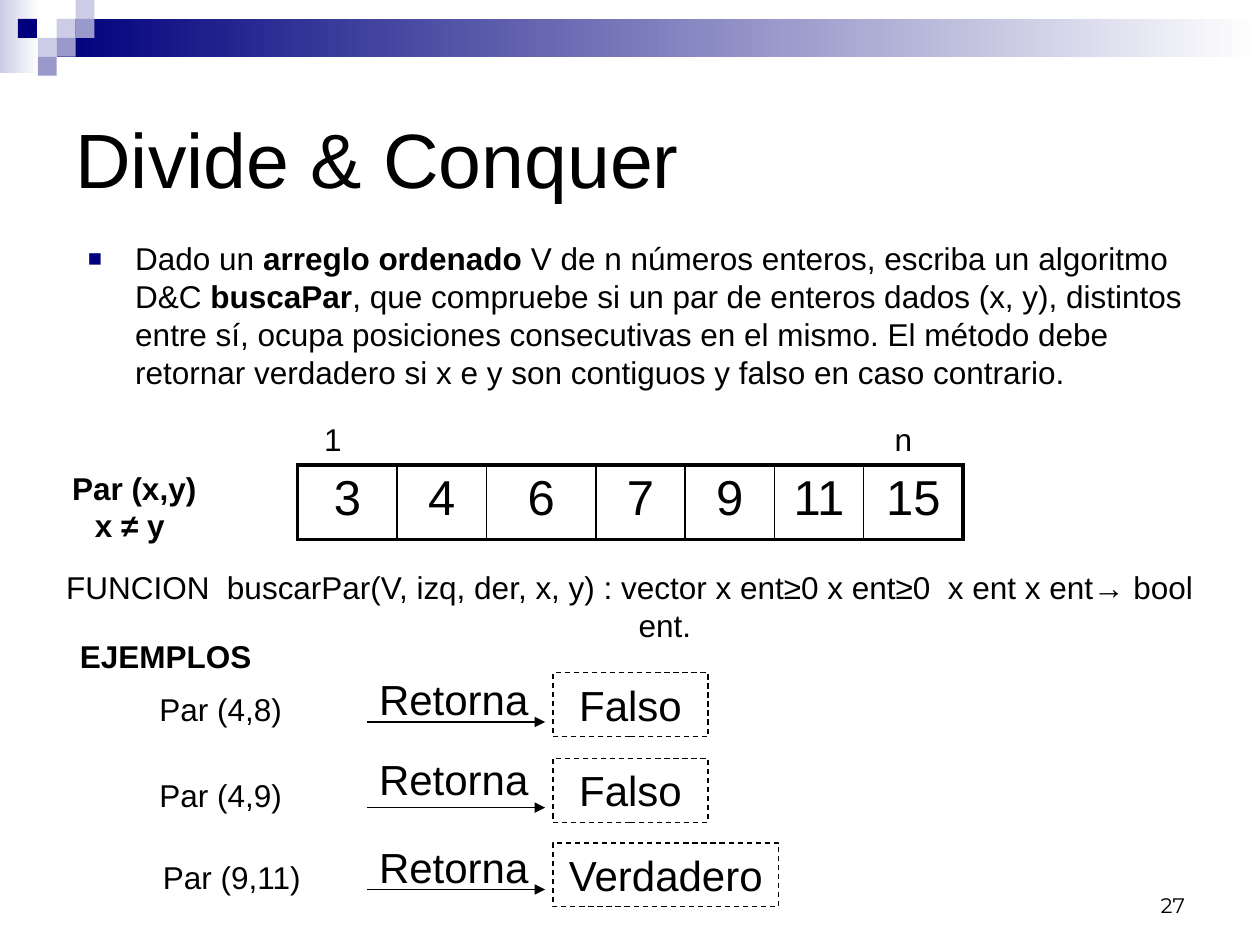
from dataclasses import dataclass
from typing import Any

from lxml import etree
from pptx import Presentation
from pptx.dml import color
from pptx.enum import dml, shapes, text
from pptx.oxml import ns
from pptx.util import Pt

COLORS = {"ink": "000000", "navy": "00007D", "lilac": "9999CC", "mist": "CCCCE6", "white": "FFFFFF"}
ALIGN = text.PP_ALIGN
ANCHOR = text.MSO_ANCHOR


def rgb(name):
    return color.RGBColor.from_string(COLORS[name])


def add_node(parent, tag, **attributes):
    return etree.SubElement(parent, ns.qn(tag), attributes)


@dataclass
class SlideBuilder:
    page: Any
    font: str = "Arial"
    size: float = 18
    thin: float = 0.75

    def add_spans(self, para, spans, size=None, align=ALIGN.LEFT, font=None):
        para.alignment = align
        for words, bold in spans:
            span = para.add_run()
            span.text = words
            span.font.name = font or self.font
            span.font.size = Pt(size or self.size)
            span.font.bold = bold
            span.font.color.rgb = rgb("ink")

    def textbox(self, bounds, lines, anchor=ANCHOR.TOP, bold=False, **style):
        box = self.page.shapes.add_textbox(*map(Pt, bounds))
        frame = box.text_frame
        frame.word_wrap = True
        frame.vertical_anchor = anchor
        for index, line in enumerate(lines):
            para = frame.add_paragraph() if index else frame.paragraphs[0]
            spans = [(line, bold)] if isinstance(line, str) else line
            self.add_spans(para, spans, **style)
        return frame

    def bullet(self, para, indent):
        props = para._p.get_or_add_pPr()
        props.set("marL", str(Pt(indent)))
        props.set("indent", str(-Pt(indent)))
        add_node(add_node(props, "a:buClr"), "a:srgbClr", val=COLORS["navy"])
        add_node(props, "a:buSzPct", val="75000")
        add_node(props, "a:buFont", typeface=self.font)
        add_node(props, "a:buChar", char="■")

    def rectangle(self, bounds):
        shape = self.page.shapes.add_shape(shapes.MSO_SHAPE.RECTANGLE, *map(Pt, bounds))
        shape.shadow.inherit = False
        shape.line.fill.background()
        return shape

    def tile(self, bounds, fill):
        shape = self.rectangle(bounds)
        shape.fill.solid()
        shape.fill.fore_color.rgb = rgb(fill)

    def gradient(self, bounds, start):
        fill = self.rectangle(bounds).fill
        fill.gradient()
        fill.gradient_angle = 0
        for stop, name, position in zip(fill.gradient_stops, (start, "white"), (0, 1)):
            stop.color.rgb = rgb(name)
            stop.position = position

    def dashed_box(self, bounds, words, size):
        shape = self.rectangle(bounds)
        shape.fill.background()
        shape.line.color.rgb = rgb("ink")
        shape.line.width = Pt(self.thin)
        shape.line.dash_style = dml.MSO_LINE.DASH
        frame = shape.text_frame
        frame.vertical_anchor = ANCHOR.TOP
        self.add_spans(frame.paragraphs[0], [(words, False)], size, ALIGN.CENTER)

    def arrow(self, left, right, top):
        connector = self.page.shapes.add_connector(
            shapes.MSO_CONNECTOR.STRAIGHT, Pt(left), Pt(top), Pt(right), Pt(top))
        connector.line.color.rgb = rgb("ink")
        connector.line.width = Pt(self.thin)
        props = connector._element.spPr
        add_node(props.find(ns.qn("a:ln")), "a:tailEnd", type="triangle")
        add_node(props, "a:effectLst")

    def border(self, cell, widths):
        props = cell._tc.get_or_add_tcPr()
        for side, width in zip("LRTB", widths):
            edge = add_node(props, f"a:ln{side}", w=str(Pt(width)))
            add_node(add_node(edge, "a:solidFill"), "a:srgbClr", val=COLORS["ink"])

    def array(self, left, top, height, widths, values, size, outer=2.25, inner=1):
        frame = self.page.shapes.add_table(
            1, len(values), Pt(left), Pt(top), Pt(sum(widths)), Pt(height))
        table = frame.table
        table.first_row = table.horz_banding = False
        table.rows[0].height = Pt(height)
        last = len(values) - 1
        for index, (width, value) in enumerate(zip(widths, values)):
            table.columns[index].width = Pt(width)
            cell = table.cell(0, index)
            self.border(cell, (inner if index else outer, inner if index < last else outer, outer, outer))
            cell.fill.background()
            self.add_spans(cell.text_frame.paragraphs[0], [(str(value), False)], size, ALIGN.CENTER)


def main():
    deck = Presentation()
    deck.slide_width, deck.slide_height = Pt(720), Pt(540)
    slide = SlideBuilder(deck.slides.add_slide(deck.slide_layouts[6]))

    slide.gradient((0, 0, 22.3, 41.8), "mist")
    slide.gradient((32.4, 10.8, 687.6, 21.6), "navy")
    unit = 10.8
    tiles = [(3, 1, "mist"), (4, 0, "mist"), (4, 1, "lilac"), (2, 2, "mist"),
             (0.95, 1, "navy"), (3, 2, "lilac"), (2, 3, "lilac")]
    for column, row, fill in tiles:
        slide.tile((column * unit, row * unit, unit, unit), fill)

    slide.textbox((36, 36, 648, 108), ["Divide & Conquer"], ANCHOR.MIDDLE, size=44)
    statement = slide.textbox((43.2, 133.2, 640.8, 209.5), [[
        ("Dado un ", False),
        ("arreglo ordenado ", True),
        ("V de n números enteros, escriba un algoritmo D&C ", False),
        ("buscaPar", True),
        (", que compruebe si un par de enteros dados (x, y), distintos entre sí, ocupa posiciones "
         "consecutivas en el mismo. El método debe retornar verdadero si x e y son contiguos y "
         "falso en caso contrario.", False),
    ]])
    slide.bullet(statement.paragraphs[0], 27)

    slide.array(170, 265.7, 42.5, [57, 51, 62.5, 51, 51, 51, 57], [3, 4, 6, 7, 9, 11, 15], 28)
    for left, label in ((170, "1 "), (496, "n ")):
        slide.textbox((left, 236.2, 45.4, 51), [label], align=ALIGN.CENTER)
    slide.textbox((18.7, 264.2, 116, 51), ["Par (x,y)", "x ≠ y "], bold=True, align=ALIGN.CENTER)

    signature = slide.textbox((14.4, 321.1, 691.2, 72.7), [
        "FUNCION  buscarPar(V, izq, der, x, y) : vector x ent≥0 x ent≥0  x ent x ent→ bool",
        "ent.",
    ], align=ALIGN.CENTER)
    signature.paragraphs[1]._p.get_or_add_pPr().set("marL", str(Pt(40)))

    slide.textbox((36.7, 360.7, 116, 51), ["EJEMPLOS"], bold=True, align=ALIGN.CENTER)
    examples = [
        ("Par (4,8) ", 70.6, 391, 381.6, "Falso", 384.5, 88.6, 412.6),
        ("Par (4,9) ", 70.6, 440, 427, "Falso", 433.4, 88.6, 461.5),
        ("Par (9,11) ", 77, 486.7, 477.4, "Verdadero", 481.7, 128.9, 508.3),
    ]
    for pair, left, pair_top, verb_top, result, result_top, width, arrow_top in examples:
        slide.textbox((left, pair_top, 116, 51), [pair], align=ALIGN.CENTER)
        slide.textbox((209.5, verb_top, 118.8, 36), ["Retorna"], size=24)
        slide.dashed_box((316, result_top, width, 36.5), result, 24)
        slide.arrow(209.5, 311.5, arrow_top)

    slide.textbox((516.2, 491.8, 168, 36), ["27"], ANCHOR.BOTTOM,
                  size=12, align=ALIGN.RIGHT, font="Montserrat")
    deck.save("out.pptx")


if __name__ == "__main__":
    main()
